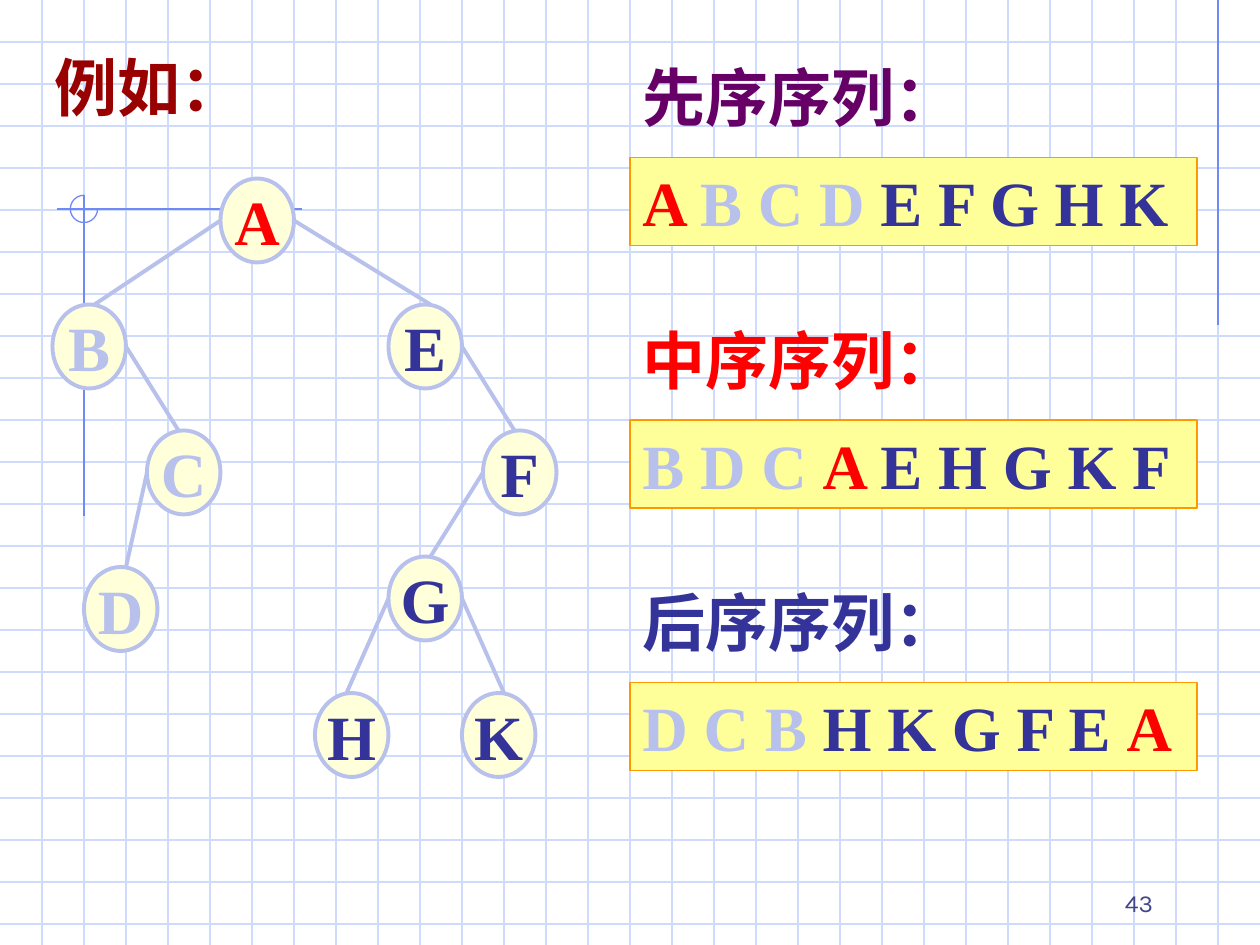
from typing import NamedTuple

from lxml import etree
from pptx import Presentation
from pptx import util as u
from pptx.dml.color import RGBColor
from pptx.enum import shapes, text
from pptx.oxml.ns import qn

COLORS = {
    "grid": "CFDBFD", "ornament": "6F89F7", "pale": "B7C1EB", "node": "FFFFD9",
    "red": "FF0000", "navy": "333399", "maroon": "990000", "purple": "660066",
    "yellow": "FFFF99", "orange": "FF9900", "number": "40458C",
}
UNIT = 2.54 / 12
WIDTH, HEIGHT, CELL = 120, 90, 4
NODE_WIDTH, NODE_HEIGHT, ROW_HEIGHT = 7, 8, 8.4


class Span(NamedTuple):
    words: str
    color: str
    size: int = 36
    font: str = "Times New Roman"
    bold: bool = True


class Node(NamedTuple):
    letter: str
    color: str
    left: float
    top: float


class Edge(NamedTuple):
    parent: str
    child: str
    right_side: bool
    end_left: float


class Sequence(NamedTuple):
    title: Span
    spans: list[Span]
    align: text.PP_ALIGN


NODES = [
    Node("A", "red", 21, 17), Node("B", "pale", 5, 29), Node("C", "pale", 14, 41),
    Node("D", "pale", 8, 54), Node("E", "navy", 37, 29), Node("F", "navy", 46, 41),
    Node("G", "navy", 37, 53), Node("H", "navy", 30, 66), Node("K", "navy", 44, 66),
]
EDGES = [
    Edge("A", "B", False, 9), Edge("B", "C", True, 17), Edge("C", "D", False, 12),
    Edge("A", "E", True, 41), Edge("E", "F", True, 49), Edge("F", "G", False, 41),
    Edge("G", "H", False, 33), Edge("G", "K", True, 48),
]
SEQUENCES = [
    Sequence(Span("先序序列：", "purple"),
             [Span("A ", "red"), Span("B C D ", "pale"), Span("E F G H K", "navy")],
             text.PP_ALIGN.JUSTIFY),
    Sequence(Span("中序序列：", "red"),
             [Span("B D C ", "pale"), Span("A ", "red"), Span("E H G K F", "navy")],
             text.PP_ALIGN.LEFT),
    Sequence(Span("后序序列：", "navy"),
             [Span("D C B", "pale"), Span(" H K G F E ", "navy"), Span("A", "red")],
             text.PP_ALIGN.LEFT),
]


def length(units: float) -> u.Length:
    """Convert twelfths of an inch to a length."""
    return u.Cm(units * UNIT)


def rgb(name: str) -> RGBColor:
    """Look up a colour by name."""
    return RGBColor.from_string(COLORS[name])


def draw_line(page, start: tuple, end: tuple, color: str, weight: float = 0.75) -> None:
    """Draw a straight line without a shadow."""
    line = page.shapes.add_connector(
        shapes.MSO_CONNECTOR.STRAIGHT, *map(length, (*start, *end)))
    line.line.color.rgb = rgb(color)
    line.line.width = u.Pt(weight)
    etree.SubElement(line._element.spPr, qn("a:effectLst"))


def draw_shape(page, kind, area: tuple, fill: str | None, outline: str, weight: float):
    """Draw a preset shape without a shadow."""
    shape = page.shapes.add_shape(kind, *map(length, area))
    shape.shadow.inherit = False
    if fill:
        shape.fill.solid()
        shape.fill.fore_color.rgb = rgb(fill)
    else:
        shape.fill.background()
    shape.line.color.rgb = rgb(outline)
    shape.line.width = u.Pt(weight)
    return shape


def write(box, spans: list[Span], align=text.PP_ALIGN.LEFT,
          anchor=text.MSO_ANCHOR.TOP, wrap: bool = True, grow: bool = False) -> None:
    """Fill a box with one paragraph of coloured spans."""
    frame = box.text_frame
    frame.word_wrap = wrap
    frame.vertical_anchor = anchor
    if grow:
        frame.auto_size = text.MSO_AUTO_SIZE.SHAPE_TO_FIT_TEXT
    para = frame.paragraphs[0]
    para.alignment = align
    for item in spans:
        span = para.add_run()
        span.text = item.words
        span.font.name = item.font
        span.font.size = u.Pt(item.size)
        span.font.bold = item.bold
        span.font.color.rgb = rgb(item.color)


def add_label(page, area: tuple, span: Span, **options) -> None:
    """Add a text box holding one span."""
    write(page.shapes.add_textbox(*map(length, area)), [span], **options)


def draw_background(page) -> None:
    """Draw the squared paper and its corner ornaments."""
    for top in range(CELL, HEIGHT, CELL):
        draw_line(page, (0, top), (WIDTH, top), "grid")
    for left in range(CELL, WIDTH, CELL):
        draw_line(page, (left, 0), (left, HEIGHT), "grid")
    draw_line(page, (116, 0), (116, 31), "ornament")
    draw_line(page, (28.8, 19.9), (5.4, 19.9), "ornament")
    draw_line(page, (8, 18.6), (8, 49.1), "ornament")
    arc = draw_shape(page, shapes.MSO_SHAPE.ARC, (6.7, 18.6, 2.6, 2.6),
                     None, "ornament", 0.75)
    arc.adjustments[0] = 0
    arc.adjustments[1] = 162


def draw_tree(page) -> None:
    """Draw the nodes and edges of the binary tree."""
    places = {node.letter: node for node in NODES}
    for node in NODES:
        oval = draw_shape(page, shapes.MSO_SHAPE.OVAL,
                          (node.left, node.top, NODE_WIDTH, NODE_HEIGHT),
                          "node", "pale", 2.25)
        write(oval, [Span(node.letter, node.color)], align=text.PP_ALIGN.CENTER,
              anchor=text.MSO_ANCHOR.MIDDLE, wrap=False)
    for edge in EDGES:
        parent = places[edge.parent]
        start = (parent.left + NODE_WIDTH * edge.right_side,
                 parent.top + NODE_HEIGHT / 2)
        draw_line(page, start, (edge.end_left, places[edge.child].top), "pale", 2.25)


def draw_sequences(page) -> None:
    """Draw the three traversal titles with their framed sequences."""
    for index, sequence in enumerate(SEQUENCES):
        top = 5 + 25 * index
        add_label(page, (60, top, 34, ROW_HEIGHT), sequence.title, grow=True)
        frame = draw_shape(page, shapes.MSO_SHAPE.RECTANGLE,
                           (60, top + 10, 54, ROW_HEIGHT), "yellow", "orange", 1)
        write(frame, sequence.spans, align=sequence.align, grow=True)


def main() -> None:
    """Build and save the slide."""
    deck = Presentation()
    deck.slide_width, deck.slide_height = length(WIDTH), length(HEIGHT)
    page = deck.slides.add_slide(deck.slide_layouts[6])
    draw_background(page)
    draw_tree(page)
    add_label(page, (4, 4, 20, ROW_HEIGHT), Span("例如：", "maroon"), grow=True)
    draw_sequences(page)
    add_label(page, (86, 82, 25, 6), Span("43", "number", 14, "Karla", False),
              align=text.PP_ALIGN.RIGHT, anchor=text.MSO_ANCHOR.BOTTOM)
    deck.save("out.pptx")


if __name__ == "__main__":
    main()
